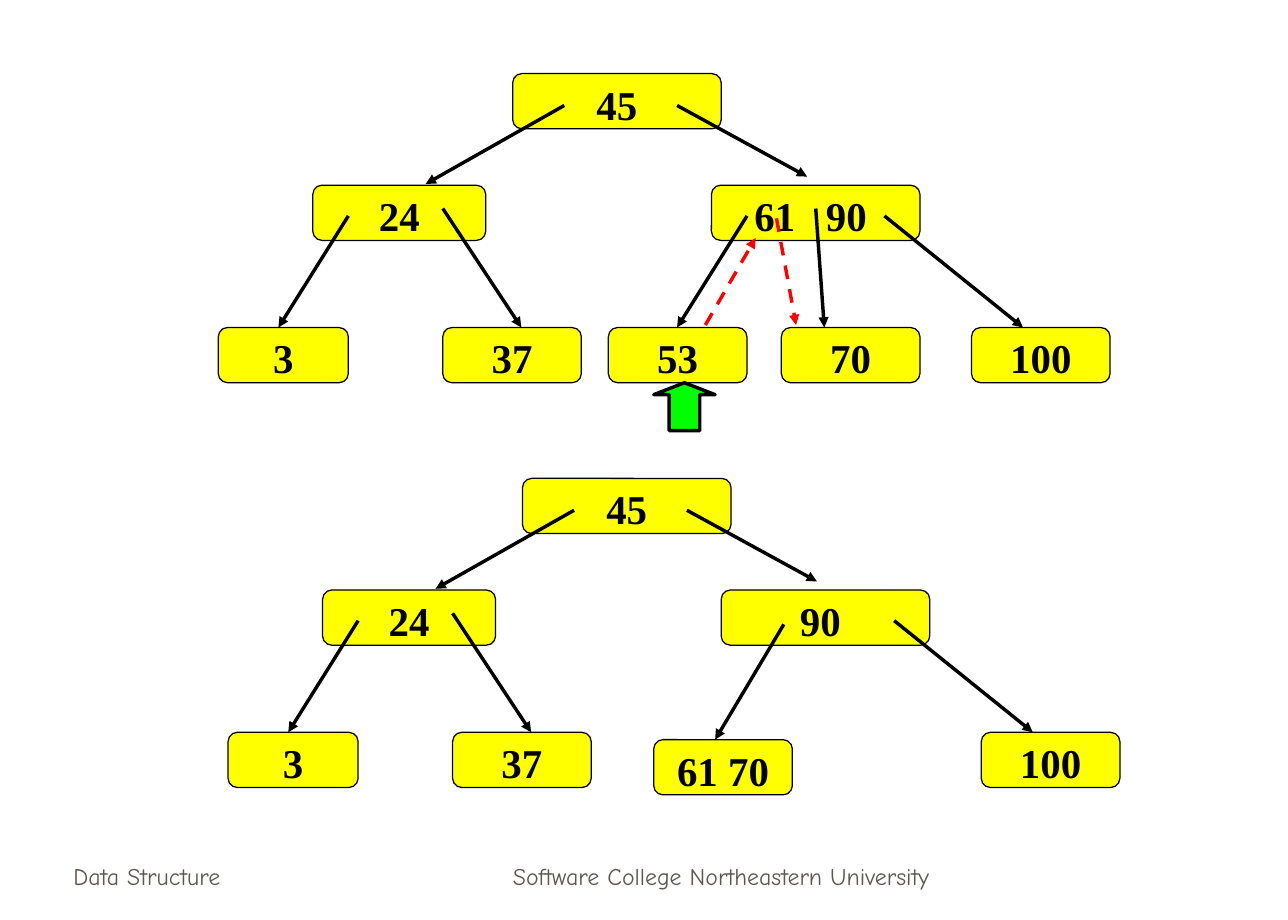
import pptx
import pptx.util
import pptx.dml.color
import pptx.enum.dml
import pptx.enum.shapes
import pptx.enum.text
from lxml import etree
from pptx.util import Inches, Pt

RGB = pptx.dml.color.RGBColor
BLACK = RGB(0x00, 0x00, 0x00)
YELLOW = RGB(0xFF, 0xFF, 0x00)
GREEN = RGB(0x00, 0xFF, 0x00)
RED = RGB(0xFF, 0x00, 0x00)
FOOTER_GREY = RGB(0x5E, 0x57, 0x4E)
A = "{http://schemas.openxmlformats.org/drawingml/2006/main}"
PRESET = pptx.enum.shapes.MSO_SHAPE
ALIGN = pptx.enum.text.PP_ALIGN
ANCHOR = pptx.enum.text.MSO_ANCHOR

NODE_HEIGHT = 0.45
LEVELS = (0.6, 1.51, 2.67)
LOWER_TREE = (0.08, 3.3)

# Nodes: left, top, width, keys
SHARED_NODES = [
    (4.18, LEVELS[0], 1.7, ["45"]),
    (2.55, LEVELS[1], 1.41, ["24"]),
    (1.78, LEVELS[2], 1.06, ["3"]),
    (3.61, LEVELS[2], 1.13, ["37"]),
    (7.92, LEVELS[2], 1.13, ["100"]),
]
BEFORE_NODES = [
    (5.8, LEVELS[1], 1.7, ["61", "90 "]),
    (4.96, LEVELS[2], 1.13, ["53"]),
    (6.37, LEVELS[2], 1.13, ["70"]),
]
AFTER_NODES = [
    (5.88, 4.81, 1.7, ["90 "]),
    (5.33, 6.03, 1.13, ["61 70"]),
]

# Edges: start x, start y, end x, end y
SHARED_EDGES = [
    (4.6, 0.86, 3.47, 1.5),
    (5.52, 0.86, 6.58, 1.44),
    (2.84, 1.76, 2.27, 2.67),
    (3.61, 1.7, 4.25, 2.67),
    (7.21, 1.76, 8.34, 2.67),
]
BEFORE_EDGES = [(6.09, 1.76, 5.52, 2.67), (6.65, 1.7, 6.72, 2.67)]
AFTER_EDGES = [(6.39, 5.09, 5.83, 6.03)]
KEY_MOVES = [(5.75, 2.65, 6.16, 1.94), (6.33, 1.78, 6.49, 2.65)]


def add_run(p, text, font, size, color, bold=False):
    r = p.add_run()
    r.text = text
    r.font.name = font
    r.font.size = Pt(size)
    r.font.bold = bold
    r.font.color.rgb = color
    return r


def add_block(s, preset, left, top, width, height, fill, line_width):
    sp = s.shapes.add_shape(preset, Inches(left), Inches(top), Inches(width), Inches(height))
    sp.shadow.inherit = False
    sp.fill.solid()
    sp.fill.fore_color.rgb = fill
    sp.line.color.rgb = BLACK
    sp.line.width = Pt(line_width)
    return sp


def add_node(s, left, top, width, keys):
    sp = add_block(s, PRESET.ROUNDED_RECTANGLE, left, top, width, NODE_HEIGHT, YELLOW, 0.75)
    tf = sp.text_frame
    tf.word_wrap = False
    tf.vertical_anchor = ANCHOR.MIDDLE
    tf.margin_top = Inches(0.09)
    p = tf.paragraphs[0]
    p.alignment = ALIGN.CENTER
    for i, key in enumerate(keys):
        if i:
            gap = add_run(p, " ", "Times New Roman", 24, BLACK, True)
            gap.font._element.set("spc", "1200")  # widens the gap between keys
        add_run(p, key, "Times New Roman", 24, BLACK, True)


def add_arrow(s, x1, y1, x2, y2, color=BLACK, dashed=False):
    cx = s.shapes.add_connector(pptx.enum.shapes.MSO_CONNECTOR.STRAIGHT,
                                Inches(x1), Inches(y1), Inches(x2), Inches(y2))
    cx.line.color.rgb = color
    cx.line.width = Pt(2)
    if dashed:
        cx.line.dash_style = pptx.enum.dml.MSO_LINE.DASH
    etree.SubElement(cx.line._get_or_add_ln(), A + "tailEnd", type="triangle")
    etree.SubElement(cx._element.spPr, A + "effectLst")


def add_tree(s, nodes, edges, dx=0, dy=0):
    """Draw the shared part of the tree, shifted by dx and dy, and its own nodes and edges."""
    shifted_nodes = [(x + dx, y + dy, w, keys) for x, y, w, keys in SHARED_NODES]
    shifted_edges = [(x1 + dx, y1 + dy, x2 + dx, y2 + dy) for x1, y1, x2, y2 in SHARED_EDGES]
    for node in shifted_nodes + nodes:
        add_node(s, *node)
    for edge in shifted_edges + edges:
        add_arrow(s, *edge)


def add_footer(s, left, width, text, alignment):
    tf = s.shapes.add_textbox(Inches(left), Inches(6.81), Inches(width), Inches(0.5)).text_frame
    tf.word_wrap = True
    tf.vertical_anchor = ANCHOR.BOTTOM
    p = tf.paragraphs[0]
    p.alignment = alignment
    add_run(p, text, "Comic Neue", 14, FOOTER_GREY)


def main():
    prs = pptx.Presentation()
    prs.slide_width = Inches(10.5)
    prs.slide_height = Inches(7.5)
    s = prs.slides.add_slide(prs.slide_layouts[6])

    add_footer(s, 0.5, 2.19, "Data Structure", ALIGN.LEFT)
    add_footer(s, 3.59, 4.58, "Software College Northeastern University", ALIGN.CENTER)

    add_tree(s, BEFORE_NODES, BEFORE_EDGES)
    marker = add_block(s, PRESET.UP_ARROW, 5.33, 3.12, 0.5, 0.39, GREEN, 2)
    marker.adjustments[1] = 0.25
    add_tree(s, AFTER_NODES, AFTER_EDGES, *LOWER_TREE)
    for move in KEY_MOVES:
        add_arrow(s, *move, color=RED, dashed=True)

    prs.save("out.pptx")


if __name__ == "__main__":
    main()
